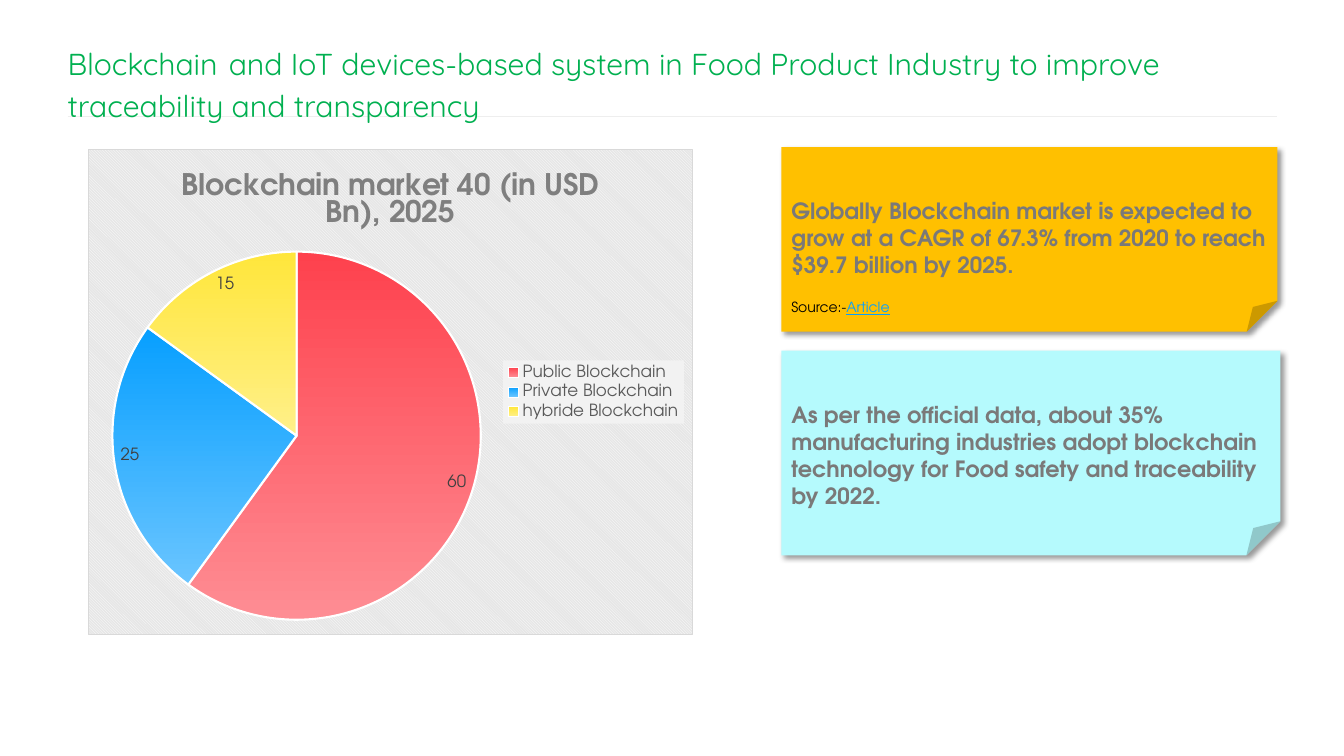
"""Builds the slide on blockchain and IoT in the food product industry."""
from lxml import etree
from pptx import Presentation
from pptx.chart.data import CategoryChartData
from pptx.dml.color import RGBColor
from pptx.enum.chart import XL_CHART_TYPE, XL_LABEL_POSITION, XL_LEGEND_POSITION
from pptx.enum.shapes import MSO_CONNECTOR, MSO_SHAPE
from pptx.enum.text import MSO_ANCHOR, PP_ALIGN
from pptx.oxml import parse_xml
from pptx.oxml.ns import nsdecls, qn
from pptx.util import Inches, Pt

PIE = XL_CHART_TYPE.PIE
INSIDE_END = XL_LABEL_POSITION.INSIDE_END
LEGEND_RIGHT = XL_LEGEND_POSITION.RIGHT
STRAIGHT = MSO_CONNECTOR.STRAIGHT
FOLDED_CORNER = MSO_SHAPE.FOLDED_CORNER
MIDDLE = MSO_ANCHOR.MIDDLE
TOP = MSO_ANCHOR.TOP
LEFT = PP_ALIGN.LEFT

COLORS = {
    "green": "00B050", "red": "FF0000", "black": "000000", "white": "FFFFFF",
    "rule": "EEEEEE", "note_text": "7A7979", "amber": "FFC000", "aqua": "B5FAFD",
    "link": "079FFF", "chart_title": "7F7F7F", "legend": "595959", "label": "404040",
    "chart_back": "E6E6E6", "chart_border": "D9D9D9", "legend_back": "F2F2F2",
    "public_top": "FE414D", "public_bottom": "FE8D94",
    "private_top": "079FFF", "private_bottom": "6AC5FF",
    "hybrid_top": "FFE63B", "hybrid_bottom": "FFF089",
}
HEADING_FONT = "Quicksand"
BODY_FONT = "TeX Gyre Adventor"


class SlideBuilder:
    """Holds the style and the current slide."""

    def __init__(self, slide):
        self.slide = slide

    def color(self, name):
        return RGBColor.from_string(COLORS[name])

    def style(self, font, size, color, bold=False, face=BODY_FONT):
        font.name, font.size, font.bold = face, Pt(size), bold
        font.color.rgb = self.color(color)

    def run(self, paragraph, text, size, color, bold=False, face=BODY_FONT):
        run = paragraph.add_run()
        run.text = text
        self.style(run.font, size, color, bold, face)
        return run

    def rule(self, left, top, right):
        line = self.slide.shapes.add_connector(
            STRAIGHT, Inches(left), Inches(top), Inches(right), Inches(top))
        line.line.color.rgb = self.color("rule")
        line.line.width = Pt(0.5)
        etree.SubElement(line._element.spPr, qn("a:effectLst"))

    def text_box(self, left, top, width, height, runs, face=BODY_FONT, inset=None, spacing=None):
        box = self.slide.shapes.add_textbox(
            Inches(left), Inches(top), Inches(width), Inches(height))
        frame = box.text_frame
        frame.word_wrap = True
        frame.vertical_anchor = TOP
        if inset is not None:
            frame.margin_left = frame.margin_right = Inches(inset)
            frame.margin_top = frame.margin_bottom = Inches(inset)
        paragraph = frame.paragraphs[0]
        paragraph.line_spacing = spacing
        for text, size, color, underline in runs:
            run = self.run(paragraph, text, size, color, face=face)
            run.font.underline = underline

    def note(self, top, width, height, fill, text, top_inset):
        shape = self.slide.shapes.add_shape(
            FOLDED_CORNER, Inches(7.75), Inches(top), Inches(width), Inches(height))
        shape.fill.solid()
        shape.fill.fore_color.rgb = self.color(fill)
        shape.line.fill.background()
        shape.shadow.inherit = False
        shape._element.spPr.find(qn("a:effectLst")).append(parse_xml(
            f'<a:outerShdw {nsdecls("a")} blurRad="{Pt(4)}" dist="{Pt(3)}" dir="2700000" '
            f'algn="tl" rotWithShape="0"><a:srgbClr val="{COLORS["black"]}">'
            '<a:alpha val="40000"/></a:srgbClr></a:outerShdw>'))
        frame = shape.text_frame
        frame.word_wrap = True
        frame.vertical_anchor = MIDDLE
        frame.margin_top = Inches(top_inset)
        paragraph = frame.paragraphs[0]
        paragraph.alignment = LEFT
        self.run(paragraph, text, 16, "note_text", bold=True)

    def pie(self, left, top, width, height, title, slices):
        data = CategoryChartData()
        data.categories = [name for name, _, _ in slices]
        data.add_series("Series 1", [value for _, value, _ in slices])
        chart = self.slide.shapes.add_chart(
            PIE, Inches(left), Inches(top), Inches(width), Inches(height), data).chart
        self.style(chart.font, 10, "black")
        chart.has_title = True
        self.run(chart.chart_title.text_frame.paragraphs[0], title, 21.3, "chart_title", bold=True)

        chart.has_legend = True
        legend = chart.legend
        legend.position = LEGEND_RIGHT
        legend.include_in_layout = False
        self.style(legend.font, 12, "legend")
        legend._element.find(qn("c:overlay")).addnext(parse_xml(
            f'<c:spPr {nsdecls("c", "a")}><a:solidFill>'
            f'<a:srgbClr val="{COLORS["legend_back"]}"/></a:solidFill></c:spPr>'))

        plot = chart.plots[0]
        plot.vary_by_categories = True
        plot.has_data_labels = True
        labels = plot.data_labels
        labels.show_value = True
        labels.show_percentage = False
        labels.position = INSIDE_END
        self.style(labels.font, 12, "label")
        for index, (_, _, tone) in enumerate(slices):
            form = plot.series[0].points[index].format
            form.fill.gradient()
            form.fill.gradient_angle = 270
            for stop, end in zip(form.fill.gradient_stops, ("top", "bottom")):
                stop.color.rgb = self.color(f"{tone}_{end}")
            form.line.color.rgb = self.color("white")
            form.line.width = Pt(1.5)
        self.frame_chart(chart._chartSpace.find(qn("c:chart")))

    def frame_chart(self, chart_element):
        plot_area = chart_element.find(qn("c:plotArea"))
        for layout in plot_area.findall(qn("c:layout")):
            plot_area.remove(layout)
        edges = "".join(f'<c:{key} val="{value}"/>' for key, value in (
            ("layoutTarget", "inner"), ("xMode", "edge"), ("yMode", "edge"),
            ("x", 0.04), ("y", 0.21), ("w", 0.61), ("h", 0.76)))
        plot_area.insert(0, parse_xml(
            f'<c:layout {nsdecls("c")}><c:manualLayout>{edges}</c:manualLayout></c:layout>'))
        chart_element.addnext(parse_xml(
            f'<c:spPr {nsdecls("c", "a")}><a:pattFill prst="dkDnDiag">'
            f'<a:fgClr><a:srgbClr val="{COLORS["white"]}"/></a:fgClr>'
            f'<a:bgClr><a:srgbClr val="{COLORS["chart_back"]}"/></a:bgClr></a:pattFill>'
            f'<a:ln w="{Pt(0.75)}"><a:solidFill><a:srgbClr val="{COLORS["chart_border"]}"/>'
            '</a:solidFill></a:ln></c:spPr>'))


def main():
    presentation = Presentation()
    presentation.slide_width, presentation.slide_height = Inches(13.33), Inches(7.5)
    builder = SlideBuilder(presentation.slides.add_slide(presentation.slide_layouts[6]))

    builder.rule(0.67, 1.15, 12.67)
    builder.text_box(0.67, 0.3, 12.29, 0.9, [
        ("Blockchain", 21.6, "green", None),
        (" ", 28.8, "red", None),
        ("and IoT devices-based system in Food Product Industry to improve "
         "traceability and transparency", 21.6, "green", None),
    ], face=HEADING_FONT, inset=0, spacing=1.1)
    builder.pie(0.87, 1.48, 6, 4.82, "Blockchain market 40 (in USD Bn), 2025", [
        ("Public Blockchain", 60, "public"),
        ("Private Blockchain", 25, "private"),
        ("hybride Blockchain", 15, "hybrid"),
    ])
    builder.note(1.46, 4.92, 1.83, "amber",
                 "Globally Blockchain market is expected to grow at a CAGR of 67.3% "
                 "from 2020 to reach $39.7 billion by 2025.", 0.32)
    builder.note(3.48, 4.95, 2.03, "aqua",
                 "As per the official data, about 35% manufacturing industries adopt "
                 "blockchain technology for Food safety and traceability by 2022.", 0.43)
    builder.text_box(7.75, 2.91, 1.95, 0.27, [
        ("Source:-", 10, "black", None),
        ("Article", 10, "link", True),
    ])
    presentation.save("out.pptx")


if __name__ == "__main__":
    main()
